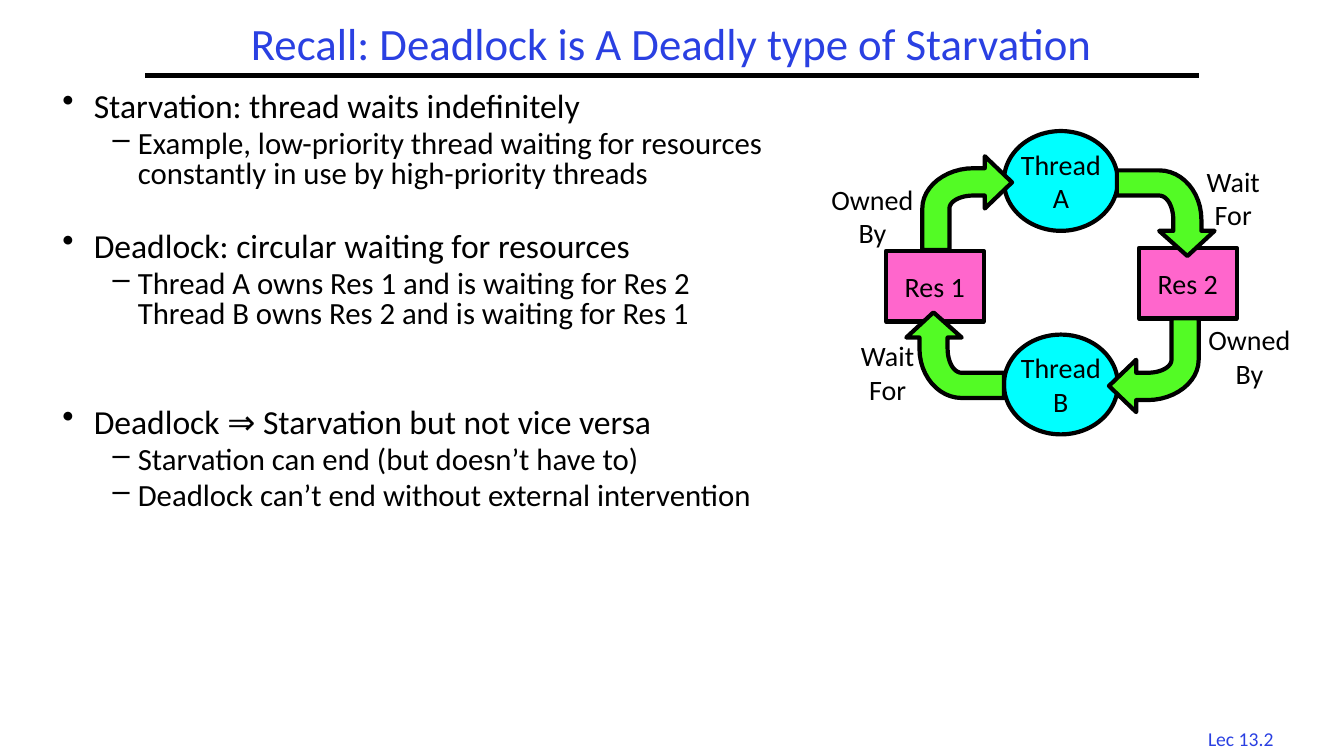
from dataclasses import dataclass

from lxml import etree
from pptx import Presentation
from pptx.dml.color import RGBColor
from pptx.enum.shapes import MSO_CONNECTOR, MSO_SHAPE
from pptx.enum.text import MSO_ANCHOR, PP_ALIGN
from pptx.oxml.ns import qn
from pptx.util import Pt

CENTER = PP_ALIGN.CENTER
MIDDLE = MSO_ANCHOR.MIDDLE
RECTANGLE = MSO_SHAPE.RECTANGLE
OVAL = MSO_SHAPE.OVAL
STRAIGHT = MSO_CONNECTOR.STRAIGHT


@dataclass(frozen=True)
class Theme:
    font: str = "Calibri"
    blue: RGBColor = RGBColor(0x2A, 0x40, 0xE2)
    black: RGBColor = RGBColor(0, 0, 0)
    pink: RGBColor = RGBColor(0xFF, 0x66, 0xCC)
    cyan: RGBColor = RGBColor(0, 0xFF, 0xFF)
    green: RGBColor = RGBColor(0x53, 0xFB, 0x25)
    title: int = 32
    bullet: int = 24
    detail: int = 22
    diagram: int = 20
    footer: int = 14
    stroke: int = 3


theme = Theme()


def write_centered(shape, text, size, color, wrap=False):
    frame = shape.text_frame
    frame.word_wrap = wrap
    frame.text = text
    for paragraph in frame.paragraphs:
        paragraph.alignment = CENTER
        paragraph.font.name = theme.font
        paragraph.font.size = Pt(size)
        paragraph.font.color.rgb = color
    return frame


def paint(shape, fill):
    shape.shadow.inherit = False
    shape.fill.solid()
    shape.fill.fore_color.rgb = fill
    shape.line.color.rgb = theme.black
    shape.line.width = Pt(theme.stroke)


deck = Presentation()
deck.slide_width, deck.slide_height = Pt(960), Pt(540)
slide = deck.slides.add_slide(deck.slide_layouts[6])
shapes = slide.shapes

lecture = shapes.add_textbox(Pt(847.4), Pt(515.5), Pt(77.8), Pt(23.8))
write_centered(lecture, "Lec 13.2", theme.footer, theme.blue)

rule = shapes.add_connector(STRAIGHT, Pt(103.7), Pt(54), Pt(856.1), Pt(54))
rule.line.color.rgb = theme.black
rule.line.width = Pt(theme.stroke)
etree.SubElement(rule.element.spPr, qn("a:effectLst"))

title = shapes.add_textbox(Pt(103.7), Pt(12.2), Pt(752), Pt(41.8))
title_frame = write_centered(
    title, "Recall: Deadlock is A Deadly type of Starvation",
    theme.title, theme.blue, wrap=True)
title_frame.vertical_anchor = MIDDLE
title_frame.paragraphs[0].line_spacing = 0.9

points = [
    (0, 0, "Starvation: thread waits indefinitely"),
    (1, 4.4, "Example, low-priority thread waiting for resources "
             "constantly in use by high-priority threads"),
    (0, 30.4, "Deadlock: circular waiting for resources"),
    (1, 4.4, "Thread A owns Res 1 and is waiting for Res 2\n"
             "Thread B owns Res 2 and is waiting for Res 1"),
    (0, 56.2, "Deadlock ⇒ Starvation but not vice versa"),
    (1, 4.4, "Starvation can end (but doesn’t have to)"),
    (1, 4.4, "Deadlock can’t end without external intervention"),
]
levels = [("•", 22.5, 22.5, theme.bullet), ("–", 54, 18, theme.detail)]

body = shapes.add_textbox(Pt(37.4), Pt(62.6), Pt(569.5), Pt(370)).text_frame
body.word_wrap = True
for index, (level, gap, text) in enumerate(points):
    mark, margin, hanging, size = levels[level]
    point = body.add_paragraph() if index else body.paragraphs[0]
    point.text = text
    point.level = level
    point.line_spacing = 0.8
    point.space_before = Pt(gap)
    properties = point._p.get_or_add_pPr()
    properties.set("marL", str(Pt(margin)))
    properties.set("indent", str(-Pt(hanging)))
    etree.SubElement(properties, qn("a:buChar"), char=mark)
    point.font.name = theme.font
    point.font.size = Pt(size)
    point.font.color.rgb = theme.black

nodes = [
    ("Res 2", RECTANGLE, theme.pink, 813.6, 177.1, 69.8, 50.4),
    ("Res 1", RECTANGLE, theme.pink, 632.9, 179.3, 69.8, 50.4),
    ("Thread\nB", OVAL, theme.cyan, 717.1, 239, 81.4, 71.3),
    ("Thread\nA", OVAL, theme.cyan, 717.1, 93.6, 81.4, 71.3),
]
for text, kind, fill, left, top, width, height in nodes:
    node = shapes.add_shape(kind, Pt(left), Pt(top), Pt(width), Pt(height))
    paint(node, fill)
    node_frame = write_centered(node, text, theme.diagram, theme.black)
    node_frame.vertical_anchor = MIDDLE

owned_by_a = [
    [(722.9, 130.3)], [(703.4, 111.6)], [(703.4, 120.2)], [(695.5, 120.2)],
    [(675.4, 120.2), (658.8, 133.2), (658.8, 149)],
    [(658.8, 178.6)], [(678.2, 178.6)], [(678.2, 149)],
    [(678.2, 144), (685.4, 139.7), (695.5, 139.7)],
    [(703.4, 139.7)], [(703.4, 149)],
]
a_waits_for = [
    [(848.2, 182.9)], [(867.6, 164.9)], [(858.2, 164.9)], [(858.2, 157)],
    [(858.2, 137.5), (844.6, 121.7), (828, 121.7)],
    [(797.8, 121.7)], [(797.8, 139.7)], [(828, 139.7)],
    [(833.8, 139.7), (838.1, 147.6), (838.1, 157)],
    [(838.1, 164.9)], [(828, 164.9)],
]
CYCLE_X, CYCLE_Y = 757.5, 203
CURVE_STEPS = 12

for turn in (1, -1):
    for segments in (owned_by_a, a_waits_for):
        outline = []
        for segment in segments:
            if len(segment) == 1:
                outline += segment
                continue
            controls = [outline[-1], *segment]
            for step in range(1, CURVE_STEPS + 1):
                t = step / CURVE_STEPS
                weights = ((1 - t) ** 3, 3 * t * (1 - t) ** 2,
                           3 * t * t * (1 - t), t ** 3)
                outline.append(tuple(
                    sum(w * c[axis] for w, c in zip(weights, controls))
                    for axis in (0, 1)))
        corners = [(Pt(CYCLE_X + turn * (x - CYCLE_X)),
                    Pt(CYCLE_Y + turn * (y - CYCLE_Y))) for x, y in outline]
        builder = shapes.build_freeform(*corners[0])
        builder.add_line_segments(corners[1:], close=True)
        paint(builder.convert_to_shape(), theme.green)

labels = [
    ("Wait\nFor", 853.9, 113.8, 54),
    ("Wait\nFor", 607, 238.3, 54),
    ("Owned\nBy", 853.2, 226.8, 78.5),
    ("Owned\nBy", 583.9, 126.7, 78.5),
]
for text, left, top, width in labels:
    label = shapes.add_textbox(Pt(left), Pt(top), Pt(width), Pt(55.4))
    write_centered(label, text, theme.diagram, theme.black)

deck.save("out.pptx")
